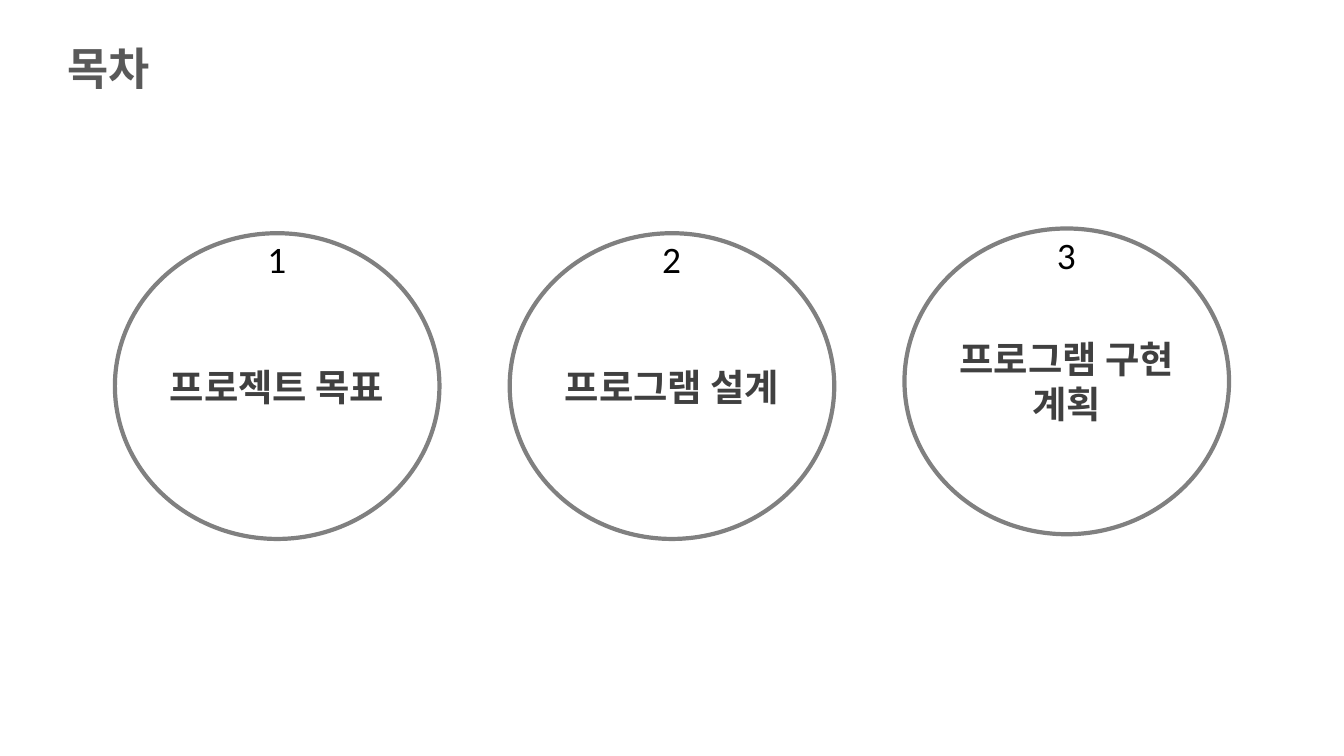
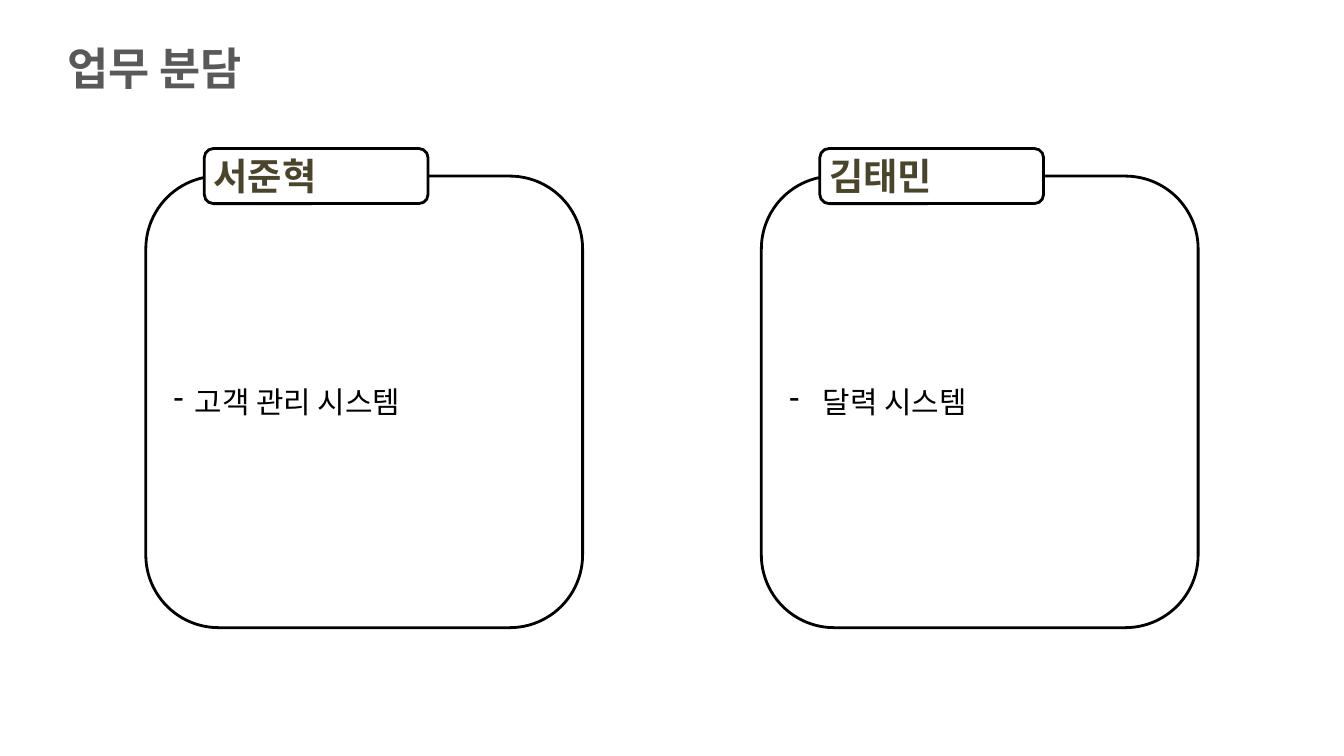
import pptx
import pptx.dml.color
import pptx.enum.shapes
import pptx.enum.text
import pptx.oxml.ns
import pptx.util
from lxml import etree

RGBColor = pptx.dml.color.RGBColor
Inches = pptx.util.Inches
Shape = pptx.enum.shapes.MSO_SHAPE
Align = pptx.enum.text.PP_ALIGN
Anchor = pptx.enum.text.MSO_ANCHOR

# Content
AGENDA_TITLE = "목차"
AGENDA = [  # topic, distance of the circle from the top
    ("프로젝트 목표", 3.47),
    ("프로그램 설계", 3.47),
    ("프로그램 구현 계획", 3.4),
]
DUTIES_TITLE = "업무 분담"
DUTIES = [  # member, task, bullet indent
    ("서준혁", "고객 관리 시스템", 0.31),
    ("김태민", "달력 시스템", 0.5),
]

# Shared style
KOREAN, LATIN = "Noto Sans CJK KR", "Calibri"
WHITE = RGBColor(0xFF, 0xFF, 0xFF)
BLACK = RGBColor(0x00, 0x00, 0x00)
TITLE_GRAY = RGBColor(0x59, 0x59, 0x59)
TOPIC_GRAY = RGBColor(0x40, 0x40, 0x40)
RING_GRAY = RGBColor(0x80, 0x80, 0x80)
MEMBER_OLIVE = RGBColor(0x4A, 0x45, 0x2A)

# Layout in inches
SLIDE_WIDTH, SLIDE_HEIGHT = 20, 11.25
TITLE_LEFT, TITLE_TOP, TITLE_HEIGHT = 0.9, 0.56, 0.91
CIRCLE_WIDTH, CIRCLE_HEIGHT, CIRCLE_PITCH = 4.83, 4.55, 5.875
NUMBER_WIDTH, NUMBER_HEIGHT = 0.49, 0.77
PANEL_TOP, PANEL_WIDTH, PANEL_HEIGHT, PANEL_PITCH = 2.62, 6.5, 6.72, 9.16
TAB_WIDTH, TAB_HEIGHT, TAB_OFFSET = 3.33, 0.82, 0.87


def write_text(shape, text, size=40, font=KOREAN, color=BLACK, bold=False,
               align=Align.LEFT, anchor=Anchor.MIDDLE, wrap=True):
    frame = shape.text_frame
    frame.word_wrap = wrap
    frame.auto_size = pptx.enum.text.MSO_AUTO_SIZE.NONE
    frame.vertical_anchor = anchor
    paragraph = frame.paragraphs[0]
    paragraph.alignment = align
    run = paragraph.add_run()
    run.text = text
    run.font.size = pptx.util.Pt(size)
    run.font.bold = bold
    run.font.color.rgb = color
    run.font.name = font
    east_asian = etree.SubElement(run.font._element, pptx.oxml.ns.qn("a:ea"))
    east_asian.set("typeface", font)
    return paragraph


def add_dash(paragraph, indent):
    properties = paragraph._p.get_or_add_pPr()
    properties.set("marL", str(Inches(indent)))
    properties.set("indent", str(-Inches(indent)))
    bullet = etree.SubElement(properties, pptx.oxml.ns.qn("a:buChar"))
    bullet.set("char", "-")


def add_outlined(slide, kind, box, line_color, line_width):
    shape = slide.shapes.add_shape(kind, *map(Inches, box))
    shape.shadow.inherit = False
    shape.fill.solid()
    shape.fill.fore_color.rgb = WHITE
    shape.line.color.rgb = line_color
    shape.line.width = pptx.util.Pt(line_width)
    return shape


def add_titled_slide(presentation, text, title_width):
    slide = presentation.slides.add_slide(presentation.slide_layouts[5])
    title = slide.shapes.title
    title.left, title.top = Inches(TITLE_LEFT), Inches(TITLE_TOP)
    title.width, title.height = Inches(title_width), Inches(TITLE_HEIGHT)
    write_text(title, text, size=48, color=TITLE_GRAY, bold=True, anchor=Anchor.TOP)
    return slide


def centered_lefts(count, width, pitch):
    first = (SLIDE_WIDTH - width - (count - 1) * pitch) / 2
    return [first + index * pitch for index in range(count)]


def build_agenda(presentation):
    slide = add_titled_slide(presentation, AGENDA_TITLE, 1.55)
    lefts = centered_lefts(len(AGENDA), CIRCLE_WIDTH, CIRCLE_PITCH)
    for number, (left, (topic, top)) in enumerate(zip(lefts, AGENDA), 1):
        circle = add_outlined(slide, Shape.OVAL, (left, top, CIRCLE_WIDTH, CIRCLE_HEIGHT),
                              RING_GRAY, 4.5)
        write_text(circle, topic, color=TOPIC_GRAY, bold=True, align=Align.CENTER)
        # Number centred under the top of the circle
        number_left = left + (CIRCLE_WIDTH - NUMBER_WIDTH) / 2
        label = slide.shapes.add_textbox(
            *map(Inches, (number_left, top, NUMBER_WIDTH, NUMBER_HEIGHT)))
        write_text(label, str(number), font=LATIN, anchor=Anchor.TOP, wrap=False)


def build_duties(presentation):
    slide = add_titled_slide(presentation, DUTIES_TITLE, 3.13)
    lefts = centered_lefts(len(DUTIES), PANEL_WIDTH, PANEL_PITCH)
    for left, (member, task, indent) in zip(lefts, DUTIES):
        panel = add_outlined(slide, Shape.ROUNDED_RECTANGLE,
                             (left, PANEL_TOP, PANEL_WIDTH, PANEL_HEIGHT), BLACK, 3)
        add_dash(write_text(panel, task, size=32), indent)
        # Name tab straddling the top edge of the panel
        tab_box = (left + TAB_OFFSET, PANEL_TOP - TAB_HEIGHT / 2, TAB_WIDTH, TAB_HEIGHT)
        tab = add_outlined(slide, Shape.ROUNDED_RECTANGLE, tab_box, BLACK, 3)
        write_text(tab, member, color=MEMBER_OLIVE, bold=True)


def main():
    presentation = pptx.Presentation()
    presentation.slide_width = Inches(SLIDE_WIDTH)
    presentation.slide_height = Inches(SLIDE_HEIGHT)
    build_agenda(presentation)
    build_duties(presentation)
    presentation.save("out.pptx")


if __name__ == "__main__":
    main()
